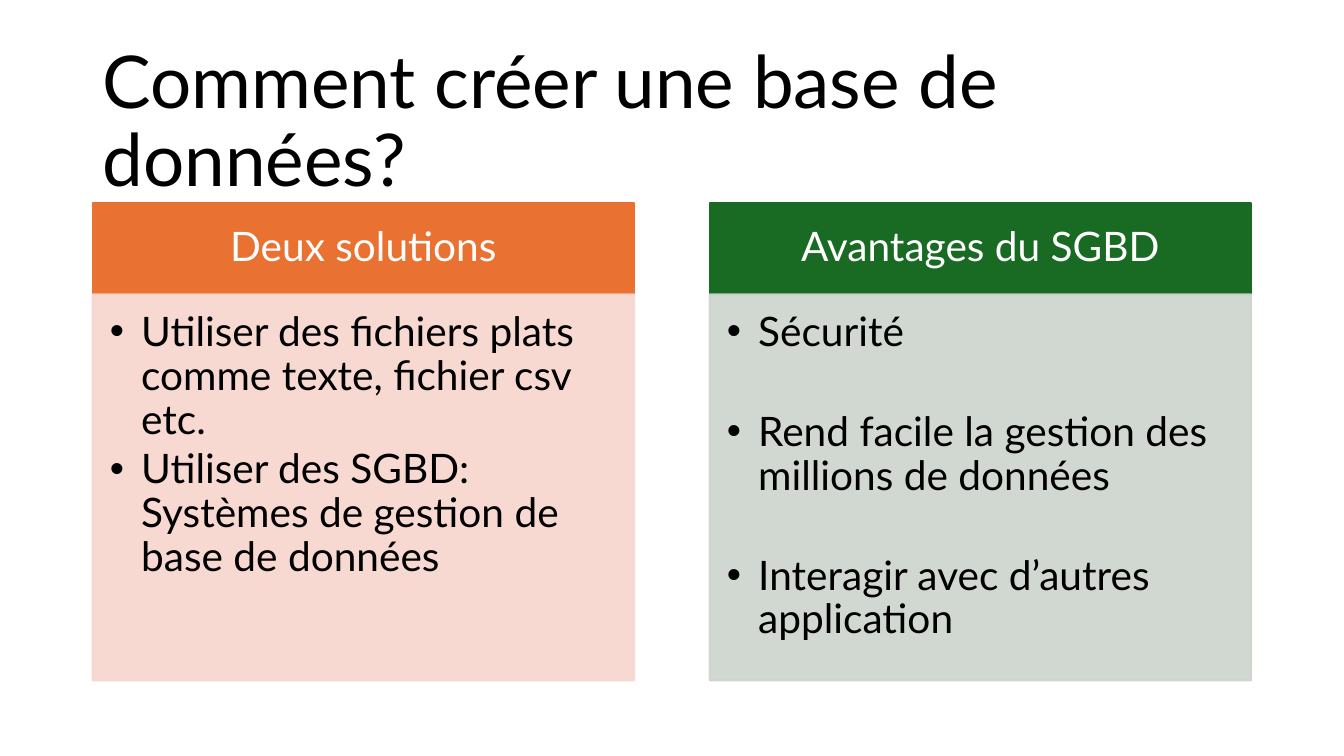
from pptx import Presentation
from pptx.dml.color import RGBColor
from pptx.enum.shapes import MSO_SHAPE
from pptx.enum.text import MSO_ANCHOR, PP_ALIGN
from pptx.oxml.ns import qn
from pptx.util import Inches, Pt
from lxml.etree import SubElement

# Colours
BLACK = RGBColor(0x00, 0x00, 0x00)
WHITE = RGBColor(0xFF, 0xFF, 0xFF)
ORANGE = RGBColor(0xE9, 0x71, 0x32)
PINK = RGBColor(0xF7, 0xD5, 0xCE)
GREEN = RGBColor(0x19, 0x6B, 0x24)
GREY = RGBColor(0xCC, 0xD4, 0xCD)

# Content: heading, head colour, body colour, gap after each point, points
TITLE = "Comment créer une base de données?"
CARDS = [
    ("Deux solutions", ORANGE, PINK, 4, [
        "Utiliser des fichiers plats comme texte, fichier csv etc.",
        "Utiliser des SGBD: Systèmes de gestion de base de données",
    ]),
    ("Avantages du SGBD", GREEN, GREY, 40, [
        "Sécurité",
        "Rend facile la gestion des millions de données",
        "Interagir avec d’autres application",
    ]),
]

# Layout in inches
LEFT, TOP, WIDTH, STEP = 0.92, 2.01, 5.37, 6.12
HEAD, BODY = 0.91, 3.83
INDENT = 0.31

# Format values
TITLE_FONT = {"name": "Lato", "size": Pt(52)}
CARD_FONT = {"name": "Lato", "size": Pt(29)}
TITLE_FRAME = {"word_wrap": True, "vertical_anchor": MSO_ANCHOR.MIDDLE}
HEAD_FRAME = {
    "word_wrap": True, "vertical_anchor": MSO_ANCHOR.MIDDLE,
    "margin_left": Inches(0.23), "margin_right": Inches(0.23),
    "margin_top": Inches(0.13), "margin_bottom": Inches(0.13),
}
BODY_FRAME = {
    "word_wrap": True, "vertical_anchor": MSO_ANCHOR.TOP,
    "margin_left": Inches(0.17), "margin_right": Inches(0.23),
    "margin_top": Inches(0.17), "margin_bottom": Inches(0.25),
}


def style(item, values):
    for key, value in values.items():
        setattr(item, key, value)


def write(frame, lines, look, font, color, align, gap=0):
    style(frame, look)
    for i, line in enumerate(lines):
        para = frame.add_paragraph() if i else frame.paragraphs[0]
        style(para, {"alignment": align, "line_spacing": 0.9})
        if i < len(lines) - 1:
            para.space_after = Pt(gap)
        run = para.add_run()
        run.text = line
        style(run.font, font)
        run.font.color.rgb = color


def panel(slide, x, y, height, color):
    box = slide.shapes.add_shape(MSO_SHAPE.RECTANGLE, Inches(x), Inches(y),
                                 Inches(WIDTH), Inches(height))
    box.shadow.inherit = False
    for fill in (box.fill, box.line.fill):
        fill.solid()
        fill.fore_color.rgb = color
    box.line.width = Pt(1.5)
    return box


def fade(box):
    for color in box._element.spPr.iter(qn("a:srgbClr")):
        SubElement(color, qn("a:alpha"), val="90000")


def bullet(para):
    props = para._p.get_or_add_pPr()
    props.set("marL", str(Inches(INDENT)))
    props.set("indent", str(-Inches(INDENT)))
    SubElement(props, qn("a:buFont"), typeface="Arial")
    SubElement(props, qn("a:buChar"), char="•")


def main():
    deck = Presentation()
    deck.slide_width, deck.slide_height = Inches(13.33), Inches(7.5)
    slide = deck.slides.add_slide(deck.slide_layouts[6])

    # Title
    title = slide.shapes.add_textbox(Inches(LEFT), Inches(0.61),
                                     Inches(11.5), Inches(1.24))
    write(title.text_frame, [TITLE], TITLE_FRAME, TITLE_FONT, BLACK,
          PP_ALIGN.LEFT)

    # Two cards, each a heading over a bullet list
    for i, (name, dark, pale, gap, points) in enumerate(CARDS):
        x = LEFT + i * STEP
        head = panel(slide, x, TOP, HEAD, dark)
        write(head.text_frame, [name], HEAD_FRAME, CARD_FONT, WHITE,
              PP_ALIGN.CENTER)
        body = panel(slide, x, TOP + HEAD, BODY, pale)
        fade(body)
        write(body.text_frame, points, BODY_FRAME, CARD_FONT, BLACK,
              PP_ALIGN.LEFT, gap)
        for para in body.text_frame.paragraphs:
            bullet(para)

    deck.save("out.pptx")


if __name__ == "__main__":
    main()
